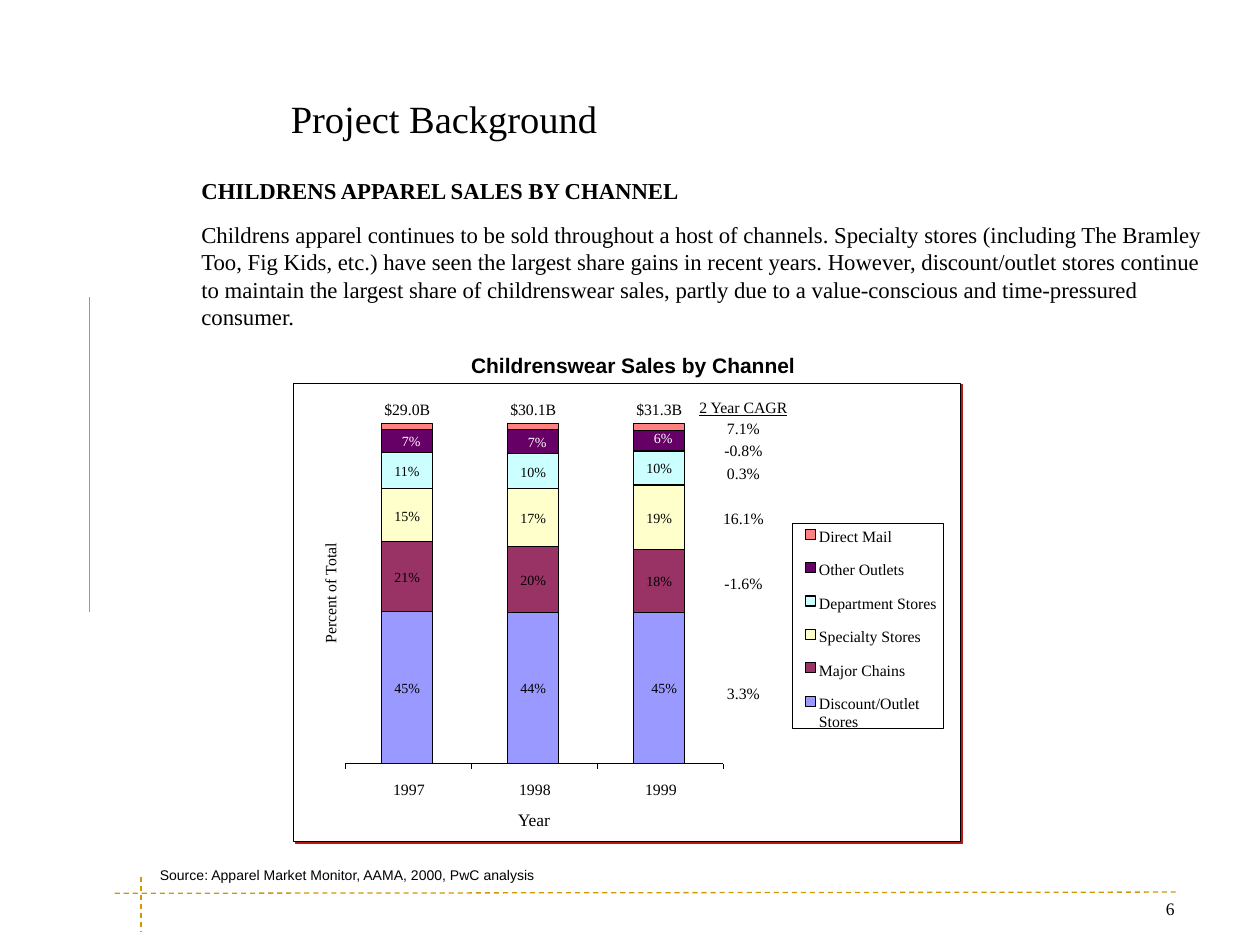
import pptx
import pptx.util
import pptx.dml.color
import pptx.enum.dml
import pptx.enum.shapes
import pptx.enum.text
import pptx.oxml
from pptx.oxml.ns import nsdecls

Inches, Pt = pptx.util.Inches, pptx.util.Pt
ALIGN = pptx.enum.text.PP_ALIGN
SERIF, SANS = "Times New Roman", "Arial"

# Content
TITLE = "Project Background"
HEAD = "CHILDRENS APPAREL SALES BY CHANNEL"
BODY = (
    "Childrens apparel continues to be sold throughout a host of channels. "
    "Specialty stores (including The Bramley Too, Fig Kids, etc.) have seen the "
    "largest share gains in recent years. However, discount/outlet stores continue "
    "to maintain the largest share of childrenswear sales, partly due to a "
    "value-conscious and time-pressured consumer."
)
SOURCE = "Source: Apparel Market Monitor, AAMA, 2000, PwC analysis"
YEARS = [("1997", "$29.0B"), ("1998", "$30.1B"), ("1999", "$31.3B")]

# Channel, colour, share labels, top edge of each year's segment, growth, growth top
CHANNELS = [
    ("Discount/Outlet", "blue", ["45%", "44%", "45%"], [4.85, 4.86, 4.86], "3.3%", 5.43),
    ("Major Chains", "plum", ["21%", "20%", "18%"], [4.3, 4.34, 4.36], "-1.6%", 4.55),
    ("Specialty Stores", "cream", ["15%", "17%", "19%"], [3.88, 3.88, 3.85], "16.1%", 4.04),
    ("Department Stores", "aqua", ["11%", "10%", "10%"], [3.59, 3.6, 3.58], "0.3%", 3.68),
    ("Other Outlets", "purple", ["7%", "7%", "6%"], [3.41, 3.41, 3.42], "-0.8%", 3.5),
    ("Direct Mail", "coral", [], [3.36, 3.36, 3.36], "7.1%", 3.32),
]
# Small shifts (x, y) that keep two labels clear of their edges
NUDGE = {("Discount/Outlet", 2): (0.04, 0), ("Other Outlets", 2): (0, -0.03)}

COLORS = {
    "black": "000000", "white": "FFFFFF", "gold": "D09805", "red": "B31B19",
    "blue": "9999FF", "plum": "993366", "cream": "FFFFCC",
    "aqua": "CCFFFF", "purple": "660066", "coral": "FF8080",
}

# Chart geometry; each segment stands on the one below it
BASE, LEFT, STEP, WIDE = 6.06, 3.03, 1.0, 0.4
AXIS = 2.74
KEY_TOP, KEY_STEP = 4.2, 0.265
THIN = 0.25
FLOORS = [[BASE] * len(YEARS)] + [row[3] for row in CHANNELS[:-1]]

deck = pptx.Presentation()
deck.slide_width, deck.slide_height = Inches(10), Inches(7.5)
slide = deck.slides.add_slide(deck.slide_layouts[6])


def tint(name):
    return pptx.dml.color.RGBColor.from_string(COLORS[name])


def style(para, words, size, font=SERIF, color="black", bold=False, under=False):
    run = para.add_run()
    run.text = words
    run.font.size, run.font.name = Pt(size), font
    run.font.bold, run.font.underline = bold, under
    run.font.color.rgb = tint(color)


def text_box(x, y, w, h, pad=True, wrap=False):
    box = slide.shapes.add_textbox(Inches(x), Inches(y), Inches(w), Inches(h))
    frame = box.text_frame
    frame.word_wrap = wrap
    if not pad:
        frame.margin_left = frame.margin_right = 0
        frame.margin_top = frame.margin_bottom = 0
    return box


def label(words, x, y, w, size=9, align=ALIGN.LEFT, **look):
    box = text_box(x, y, w, size / 60, pad=False)
    box.text_frame.auto_size = pptx.enum.text.MSO_AUTO_SIZE.SHAPE_TO_FIT_TEXT
    para = box.text_frame.paragraphs[0]
    para.alignment = align
    style(para, words, size, **look)
    return box


def rect(x, y, w, h, color, width=0.62):
    kind = pptx.enum.shapes.MSO_SHAPE.RECTANGLE
    shape = slide.shapes.add_shape(kind, Inches(x), Inches(y), Inches(w), Inches(h))
    shape.shadow.inherit = False
    shape.fill.solid()
    shape.fill.fore_color.rgb = tint(color)
    shape.line.color.rgb = tint("black")
    shape.line.width = Pt(width)
    return shape


def rule(x1, y1, x2, y2, color="black", width=THIN, dash=False):
    kind = pptx.enum.shapes.MSO_CONNECTOR.STRAIGHT
    line = slide.shapes.add_connector(kind, Inches(x1), Inches(y1), Inches(x2), Inches(y2))
    line.line.color.rgb = tint(color)
    line.line.width = Pt(width)
    if dash:
        line.line.dash_style = pptx.enum.dml.MSO_LINE.DASH
    line._element.spPr.append(pptx.oxml.parse_xml(f"<a:effectLst {nsdecls('a')}/>"))


# Gold rules
rule(0.71, 2.36, 0.71, 4.86, "gold", 1)
rule(0.91, 7.09, 9.33, 7.08, "gold", 0.75, dash=True)
rule(1.12, 6.96, 1.12, 7.4, "gold", 0.75, dash=True)

# Title, body, chart title, source and page number
title = text_box(2.21, -0.08, 7.8, 1.25, wrap=True).text_frame
title.vertical_anchor = pptx.enum.text.MSO_ANCHOR.BOTTOM
style(title.paragraphs[0], TITLE, 22)

body = text_box(1.5, 1.35, 8.25, 5.15, wrap=True).text_frame
first, second = body.paragraphs[0], body.add_paragraph()
for para in (first, second):
    para.space_after = Pt(6.5)
second.space_before = Pt(3.3)
style(first, HEAD, 13, bold=True)
style(second, BODY, 13)

name = text_box(3.64, 2.75, 2.85, 0.3).text_frame
style(name.paragraphs[0], "Childrenswear Sales by Channel", 12, SANS, bold=True)
source = text_box(1.17, 6.83, 4.17, 0.24, wrap=True).text_frame
style(source.paragraphs[0], SOURCE, 8, SANS)
page = text_box(9, 7.08, 0.42, 0.34, wrap=True).text_frame
page.paragraphs[0].alignment = ALIGN.RIGHT
style(page.paragraphs[0], "6", 10)

# Chart panel with its red shadow
panel = rect(2.33, 3.04, 5.29, 3.64, "white", THIN)
panel._element.spPr.find(pptx.oxml.ns.qn("a:effectLst")).append(pptx.oxml.parse_xml(
    f'<a:outerShdw {nsdecls("a")} dist="{Pt(1.4)}" dir="2700000" algn="ctr" rotWithShape="0">'
    f'<a:srgbClr val="{COLORS["red"]}"/></a:outerShdw>'))

# Stacked columns
for (channel, color, shares, tops, growth, at), floors in zip(CHANNELS, FLOORS):
    for i, (top, floor) in enumerate(zip(tops, floors)):
        rect(LEFT + i * STEP, top, WIDE, floor - top, color)

# Axis and ticks
rule(AXIS, BASE, AXIS + 3 * STEP, BASE)
for i in range(len(YEARS) + 1):
    rule(AXIS + i * STEP, BASE + 0.04, AXIS + i * STEP, BASE)

# Share labels, centred in their segments, and growth rates
for (channel, color, shares, tops, growth, at), floors in zip(CHANNELS, FLOORS):
    for i, share in enumerate(shares):
        dx, dy = NUDGE.get((channel, i), (0, 0))
        inset, w = (0.1, 0.24) if len(share) == 3 else (0.16, 0.18)
        y = (tops[i] + floors[i]) / 2 - 0.065
        ink = "white" if color == "purple" else "black"
        label(share, LEFT + i * STEP + inset + dx, y + dy, w, 8, color=ink)
    label(growth, 5.7, at, 0.4, align=ALIGN.CENTER)
label("2 Year CAGR", 5.5, 3.16, 0.8, align=ALIGN.CENTER, under=True)

# Totals, years and axis titles
for i, (year, total) in enumerate(YEARS):
    label(total, 3.05 + i * STEP, 3.17, 0.4)
    label(year, 3.12 + i * STEP, 6.19, 0.28)
label("Year", 4.11, 6.42, 0.3, 10)
label("Percent of Total", 2.21, 4.62, 0.82).rotation = 270

# Legend, top segment first
rect(6.29, 4.15, 1.2, 1.63, "white", THIN)
for i, (channel, color, *_) in enumerate(reversed(CHANNELS)):
    y = KEY_TOP + i * KEY_STEP
    rect(6.39, y, 0.08, 0.08, color)
    label(channel, 6.5, y - 0.02, 0.96)
label("Stores", 6.5, 5.65, 0.4)

deck.save("out.pptx")
